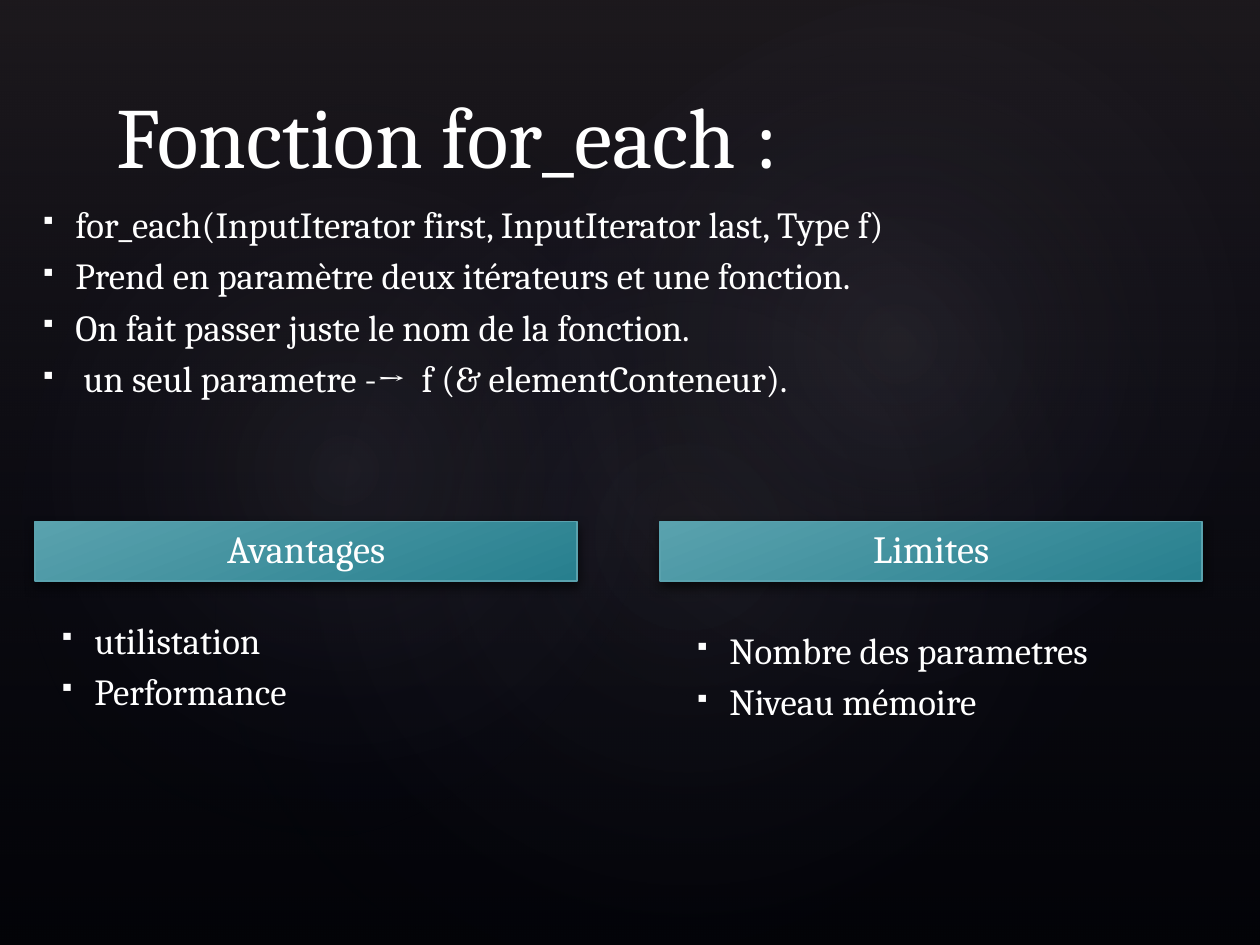
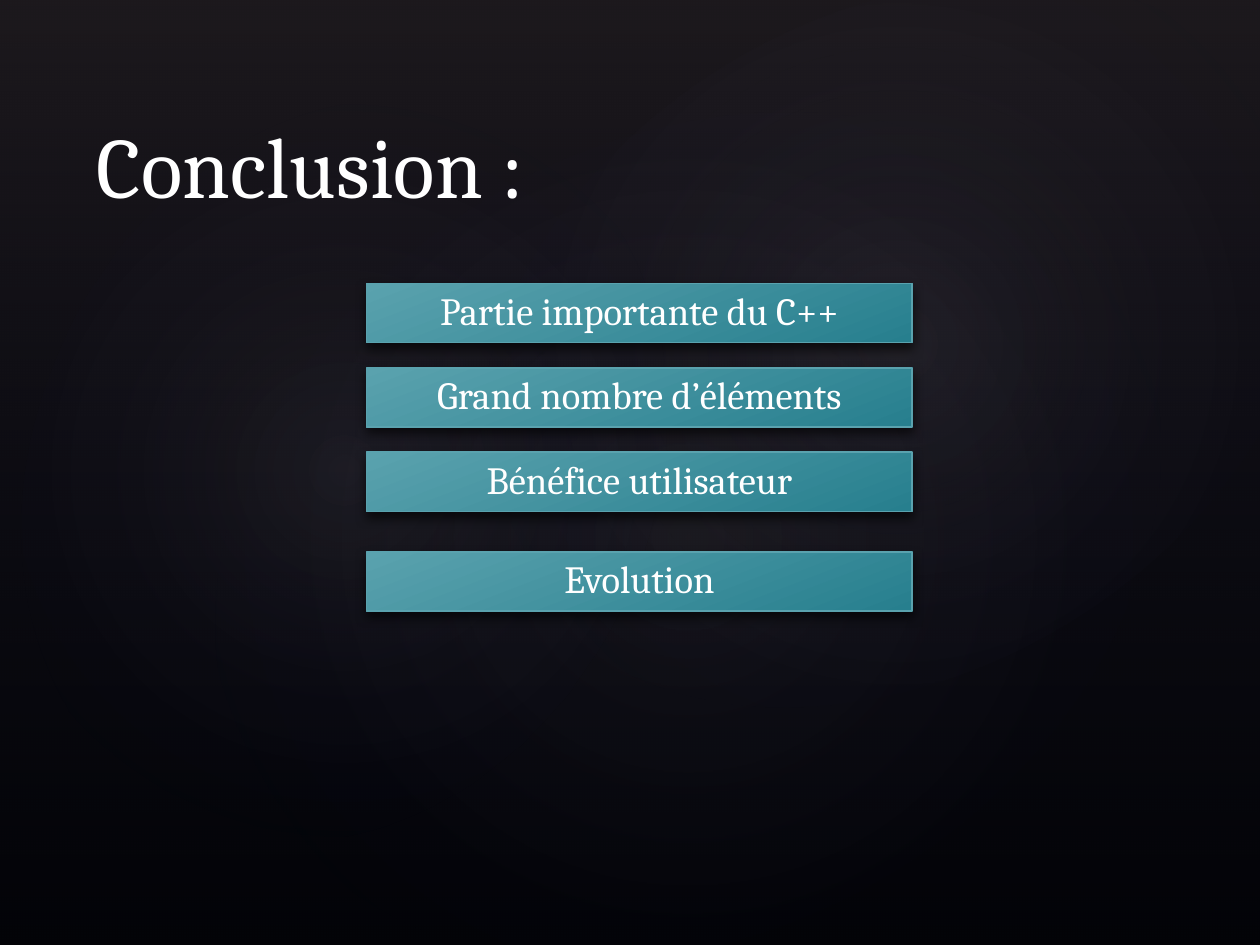
from dataclasses import dataclass
from typing import NamedTuple

from lxml.etree import SubElement as Sub
from pptx import Presentation
from pptx.dml.color import RGBColor as Rgb
from pptx.enum.shapes import MSO_SHAPE as Kind
from pptx.enum.text import MSO_ANCHOR as Anchor, PP_ALIGN as Align
from pptx.oxml import parse_xml
from pptx.oxml.ns import nsdecls, qn
from pptx.util import Inches, Pt


@dataclass(frozen=True)
class Theme:
    """Colours, font and type sizes of the deck."""
    font: str = "Cambria"
    ink: str = "FFFFFF"
    back: str = "000000"
    haze: str = "504652"
    navy: str = "242852"
    glow: str = "C4BCC6"
    teal: str = "5AA2AE"
    deep: str = "277F8E"
    title: int = 49
    body: int = 21
    bar: int = 22


class Box(NamedTuple):
    """A frame in inches."""
    left: float
    top: float
    wide: float
    high: float

    def frame(self) -> tuple:
        """Give the frame as lengths."""
        return tuple(Inches(side) for side in self)


class Stop(NamedTuple):
    """One gradient stop; place and alpha are percentages."""
    place: int
    tint: str
    alpha: int = 100


class Glow(NamedTuple):
    """A soft, turned ellipse of light."""
    box: Box
    turn: float
    alpha: int


class Bar(NamedTuple):
    """A teal label."""
    text: str
    box: Box


class Block(NamedTuple):
    """A bulleted text."""
    box: Box
    lines: list


THEME = Theme()
PAGE = Box(0, 0, 10, 7.5)
GLOWS = [
    Glow(Box(1.5, 1.14, 7.92, 6.24), 328.7, 7),
    Glow(Box(-0.3, 1.28, 6.06, 4.9), 294.3, 8),
    Glow(Box(3.58, 0.13, 7.09, 5.2), 328.7, 8),
]
BAR_HIGH = 0.47
CIRCLE = ('<a:path path="circle"><a:fillToRect l="50000" t="50000" '
          'r="50000" b="50000"/></a:path>')


def linear(angle: int) -> str:
    """Give the XML of a straight gradient direction."""
    return f'<a:lin ang="{angle * 60000}" scaled="0"/>'


def blend(shape, stops: list, course: str) -> None:
    """Fill a shape with a gradient that may be translucent."""
    marks = "".join(
        f'<a:gs pos="{stop.place * 1000}"><a:srgbClr val="{stop.tint}">'
        f'<a:alpha val="{stop.alpha * 1000}"/></a:srgbClr></a:gs>'
        for stop in stops)
    grad = parse_xml(f'<a:gradFill {nsdecls("a")} rotWithShape="1">'
                     f'<a:gsLst>{marks}</a:gsLst>{course}</a:gradFill>')
    shape.fill.solid()
    props = shape.element.spPr
    props.replace(props.find(qn("a:solidFill")), grad)


def form(slide, kind, box: Box, stops: list, course: str):
    """Add a gradient shape without line or shadow."""
    shape = slide.shapes.add_shape(kind, *box.frame())
    shape.shadow.inherit = False
    shape.line.fill.background()
    blend(shape, stops, course)
    return shape


def shade(shape) -> None:
    """Cast a soft shadow straight down."""
    cast = Sub(shape.element.spPr.find(qn("a:effectLst")), qn("a:outerShdw"),
               blurRad=str(Pt(6)), dist=str(Pt(3)), dir="5400000",
               rotWithShape="0")
    tint = Sub(cast, qn("a:srgbClr"), val=THEME.back)
    Sub(tint, qn("a:alpha"), val="60000")


def space(para, tag: str, share: int) -> None:
    """Set paragraph spacing as a percentage of the type size."""
    gap = Sub(para._p.get_or_add_pPr(), qn(tag))
    Sub(gap, qn("a:spcPct"), val=str(share * 1000))


def bullet(para) -> None:
    """Give a paragraph a hanging square bullet."""
    props = para._p.get_or_add_pPr()
    props.set("marL", str(Inches(0.3)))
    props.set("indent", str(Inches(-0.28)))
    Sub(props, qn("a:buSzPct"), val="60000")
    Sub(props, qn("a:buChar"), char="▪")


def write(shape, lines: list, *, size: int, anchor=Anchor.TOP,
          align=Align.LEFT, inset: tuple = (0.1, 0.05), lead: float = 0,
          before: int = 0, after: int = 0, dots: bool = False) -> None:
    """Write paragraphs in one format."""
    frame = shape.text_frame
    frame.word_wrap = True
    frame.vertical_anchor = anchor
    frame.margin_left = frame.margin_right = Inches(inset[0])
    frame.margin_top = frame.margin_bottom = Inches(inset[1])
    frame.text = "\n".join(lines)
    for para in frame.paragraphs:
        para.alignment = align
        if lead:
            para.line_spacing = lead
        if before:
            space(para, "a:spcBef", before)
        if after:
            space(para, "a:spcAft", after)
        if dots:
            bullet(para)
        for run in para.runs:
            run.font.name = THEME.font
            run.font.size = Pt(size)
            run.font.color.rgb = Rgb.from_string(THEME.ink)


def draw_bar(slide, bar: Bar) -> None:
    """Draw a teal label with centred text."""
    shape = form(slide, Kind.RECTANGLE, bar.box,
                 [Stop(0, THEME.teal), Stop(100, THEME.deep)], linear(69))
    shape.line.color.rgb = Rgb.from_string(THEME.teal)
    shape.line.width = Pt(1)
    shade(shape)
    write(shape, [bar.text], size=THEME.bar, anchor=Anchor.MIDDLE,
          align=Align.CENTER, inset=(0.05, 0.03), lead=0.9, after=35)


def draw_block(slide, block: Block) -> None:
    """Draw a bulleted text."""
    shape = slide.shapes.add_textbox(*block.box.frame())
    write(shape, block.lines, size=THEME.body, before=20, dots=True)


def start(deck, title: str, left: float, top: float):
    """Add a slide with the shared backdrop and a title."""
    slide = deck.slides.add_slide(deck.slide_layouts[6])
    form(slide, Kind.RECTANGLE, PAGE,
         [Stop(0, THEME.haze, 36), Stop(100, THEME.navy, 10)], linear(90))
    for glow in GLOWS:
        light = form(slide, Kind.OVAL, glow.box,
                     [Stop(0, THEME.glow, glow.alpha),
                      Stop(58, THEME.navy, 0)], CIRCLE)
        light.rotation = glow.turn
    head = slide.shapes.add_textbox(*Box(left, top, 8.25, 1).frame())
    write(head, [title], size=THEME.title, anchor=Anchor.BOTTOM)
    return slide


def show_each(deck) -> None:
    """Build the slide on for_each."""
    slide = start(deck, "Fonction for_each :", 0.83, 0.52)
    blocks = [
        Block(Box(0.2, 1.55, 9.8, 2.68), [
            "for_each(InputIterator first, InputIterator last, Type f)",
            "Prend en paramètre deux itérateurs et une fonction.",
            "On fait passer juste le nom de la fonction.",
            " un seul parametre -→  f (& elementConteneur).",
        ]),
        Block(Box(0.35, 4.85, 3.86, 2.36), ["utilistation", "Performance"]),
        Block(Box(5.39, 4.93, 3.86, 2.36),
              ["Nombre des parametres", "Niveau mémoire"]),
    ]
    for block in blocks:
        draw_block(slide, block)
    for text, left in (("Avantages", 0.28), ("Limites", 5.24)):
        draw_bar(slide, Bar(text, Box(left, 4.14, 4.3, BAR_HIGH)))


def show_end(deck) -> None:
    """Build the closing slide."""
    slide = start(deck, "Conclusion :", 0.67, 0.76)
    first, step = 2.25, 0.67
    points = ["Partie importante du C++", "Grand nombre d’éléments",
              "Bénéfice utilisateur"]
    tops = [(text, first + row * step) for row, text in enumerate(points)]
    for text, top in tops + [("Evolution", 4.38)]:
        draw_bar(slide, Bar(text, Box(2.91, top, 4.33, BAR_HIGH)))


def main() -> None:
    """Build and save the deck."""
    deck = Presentation()
    deck.slide_width, deck.slide_height = PAGE.frame()[2:]
    back = deck.slide_master.background.fill
    back.solid()
    back.fore_color.rgb = Rgb.from_string(THEME.back)
    show_each(deck)
    show_end(deck)
    deck.save("out.pptx")


main()
